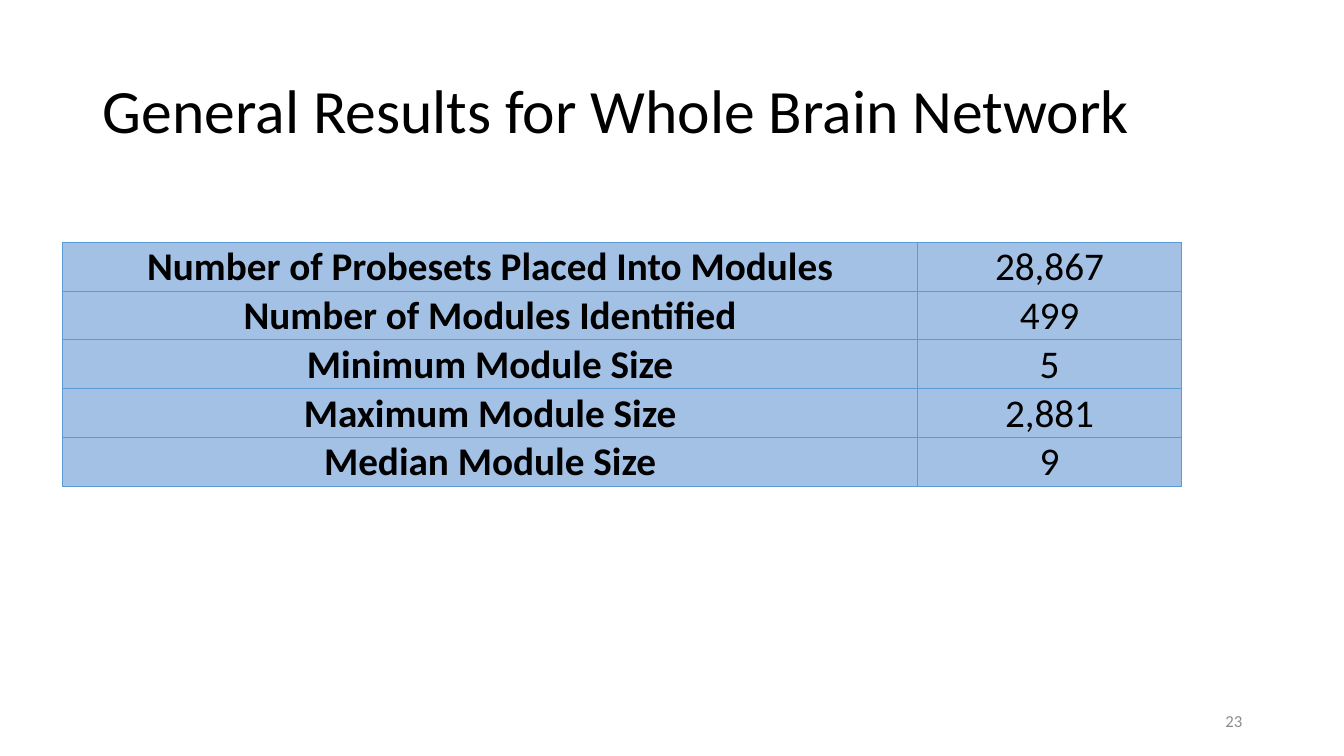
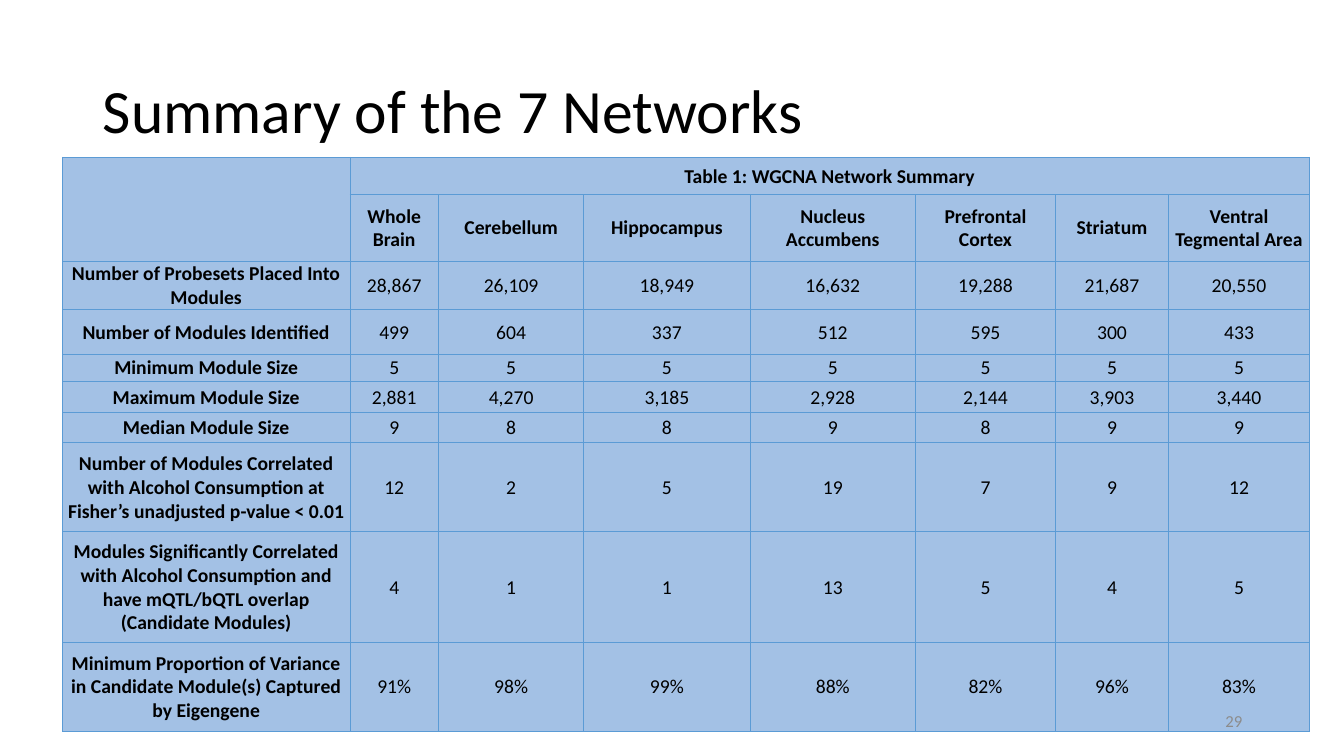
"""Build two slides of network result tables."""
from lxml import etree
from pptx import Presentation
from pptx import util as u
from pptx.dml import color
from pptx.enum import text
from pptx.oxml import ns

FONT = "Calibri"
INK, GREY, CELL, EDGE = "000000", "8C8C8C", "A3C1E5", "5B9BD5"
LEFT = 0.62

GENERAL = [
    ["Number of Probesets Placed Into Modules", "28,867"],
    ["Number of Modules Identified", "499"],
    ["Minimum Module Size", "5"],
    ["Maximum Module Size", "2,881"],
    ["Median Module Size", "9"],
]
SUMMARY = [
    ["", "Table 1: WGCNA Network Summary"] + [""] * 6,
    ["", "Whole Brain", "Cerebellum", "Hippocampus", "Nucleus\nAccumbens",
     "Prefrontal Cortex", "Striatum", "Ventral Tegmental Area"],
    ["Number of Probesets Placed Into Modules", "28,867", "26,109", "18,949",
     "16,632", "19,288", "21,687", "20,550"],
    ["Number of Modules Identified", "499", "604", "337", "512", "595", "300", "433"],
    ["Minimum Module Size"] + ["5"] * 7,
    ["Maximum Module Size", "2,881", "4,270", "3,185", "2,928", "2,144", "3,903", "3,440"],
    ["Median Module Size", "9", "8", "8", "9", "8", "9", "9"],
    ["Number of Modules Correlated with Alcohol Consumption at Fisher’s "
     "unadjusted p-value < 0.01", "12", "2", "5", "19", "7", "9", "12"],
    ["Modules Significantly Correlated with Alcohol Consumption and have "
     "mQTL/bQTL overlap (Candidate Modules)", "4", "1", "1", "13", "5", "4", "5"],
    ["Minimum Proportion of Variance in Candidate Module(s) Captured by Eigengene",
     "91%", "98%", "99%", "88%", "82%", "96%", "83%"],
]


def rgb(code):
    """Return the colour for a hex string."""
    return color.RGBColor.from_string(code)


def style(frame, size, align, ink=INK, bold=False):
    """Format every paragraph of a text frame."""
    for para in frame.paragraphs:
        para.alignment = align
        font = para.font
        font.name, font.size, font.bold = FONT, u.Pt(size), bold
        font.color.rgb = rgb(ink)


def add_slide(deck, title, page):
    """Add a slide with its title and page number."""
    slide = deck.slides.add_slide(deck.slide_layouts[5])
    head = slide.shapes.title
    head.left, head.top, head.width, head.height = map(u.Inches, (0.92, 0.4, 11.5, 1.45))
    frame = head.text_frame
    frame.text = title
    frame.auto_size = text.MSO_AUTO_SIZE.NONE
    frame.vertical_anchor = text.MSO_ANCHOR.MIDDLE
    frame.paragraphs[0].line_spacing = 0.9
    style(frame, 44, text.PP_ALIGN.LEFT)
    return slide


def add_page(slide, page):
    """Put the page number at the bottom right."""
    box = slide.shapes.add_textbox(*map(u.Inches, (9.42, 6.95, 3, 0.4)))
    frame = box.text_frame
    frame.word_wrap = True
    frame.vertical_anchor = text.MSO_ANCHOR.MIDDLE
    frame.text = str(page)
    style(frame, 12, text.PP_ALIGN.RIGHT, GREY)


def add_edges(cell):
    """Draw a thin line on all sides of a cell."""
    props = cell._tc.get_or_add_tcPr()
    for side in "LRTB":
        line = etree.SubElement(props, ns.qn(f"a:ln{side}"), w=str(u.Pt(0.5)))
        fill = etree.SubElement(line, ns.qn("a:solidFill"))
        etree.SubElement(fill, ns.qn("a:srgbClr"), val=EDGE)


def fill_cell(cell, words, size, bold):
    """Write and format one table cell."""
    add_edges(cell)
    cell.fill.solid()
    cell.fill.fore_color.rgb = rgb(CELL)
    cell.margin_left = cell.margin_right = cell.margin_top = u.Inches(0.01)
    cell.margin_bottom = 0
    cell.vertical_anchor = text.MSO_ANCHOR.MIDDLE
    cell.text = words
    style(cell.text_frame, size, text.PP_ALIGN.CENTER, bold=bold)


def add_grid(slide, data, top, cols, rows, size, heads=0):
    """Add a table with bold labels and bold heading rows."""
    spot = map(u.Inches, (LEFT, top, sum(cols), sum(rows)))
    grid = slide.shapes.add_table(len(rows), len(cols), *spot).table
    grid.first_row = grid.horz_banding = False
    for col, width in zip(grid.columns, cols):
        col.width = u.Inches(width)
    for row, height in zip(grid.rows, rows):
        row.height = u.Inches(height)
    for r, line in enumerate(data):
        for c, words in enumerate(line):
            fill_cell(grid.cell(r, c), words, size, r < heads or c == 0)
    return grid


def main():
    """Build and save the deck."""
    deck = Presentation()
    deck.slide_width, deck.slide_height = u.Inches(13.33), u.Inches(7.5)

    slide = add_slide(deck, "General Results for Whole Brain Network", 23)
    add_grid(slide, GENERAL, 2.4, [8.48, 2.62], [0.48] * 5, 28)
    add_page(slide, 23)

    slide = add_slide(deck, "Summary of the 7 Networks", 29)
    cols = [2.85, 0.88, 1.44, 1.65, 1.64, 1.39, 1.12, 1.4]
    rows = [0.37, 0.66, 0.48, 0.44, 0.27, 0.31, 0.3, 0.88, 1.1, 0.88]
    grid = add_grid(slide, SUMMARY, 1.56, cols, rows, 14, heads=2)
    grid.cell(0, 0).merge(grid.cell(1, 0))
    grid.cell(0, 1).merge(grid.cell(0, 7))
    add_page(slide, 29)

    deck.save("out.pptx")


if __name__ == "__main__":
    main()
